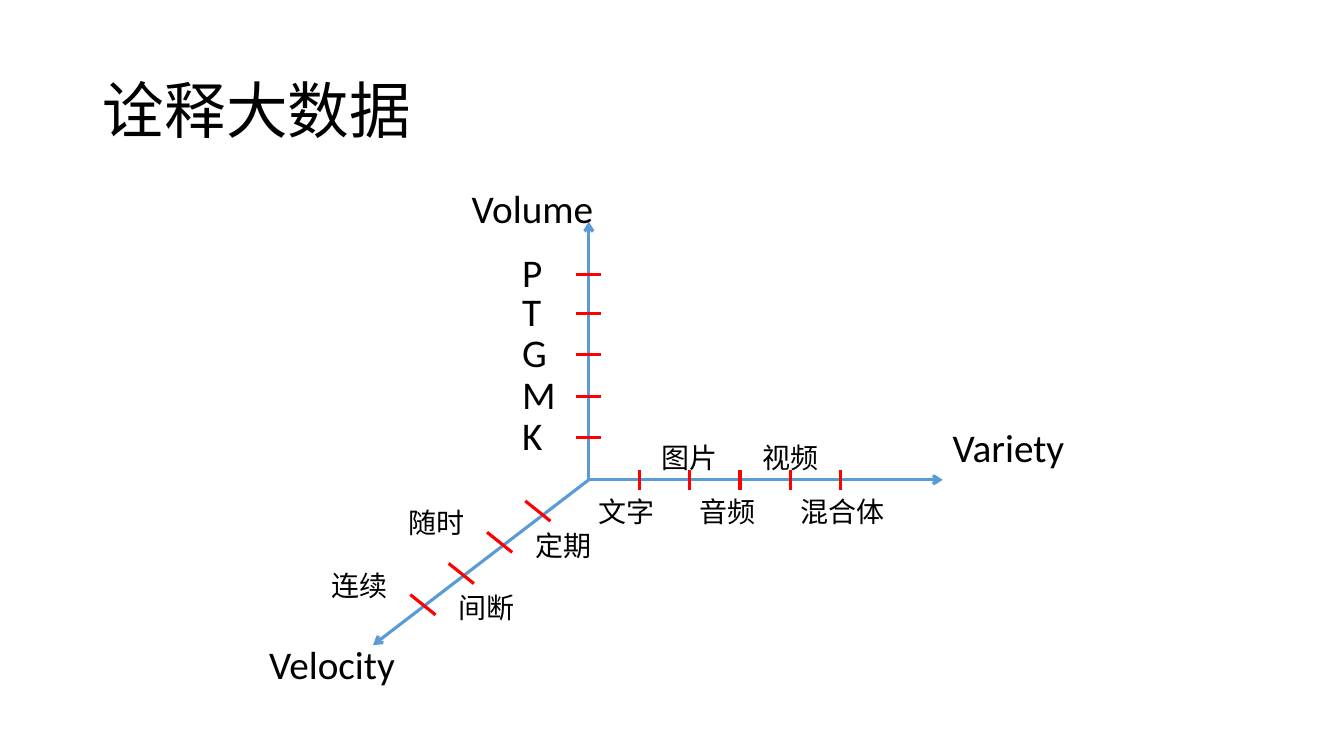
from lxml import etree
from pptx import Presentation
from pptx.dml.color import RGBColor
from pptx.enum.shapes import MSO_CONNECTOR
from pptx.enum.text import MSO_ANCHOR, MSO_AUTO_SIZE, PP_ALIGN
from pptx.oxml.ns import qn
from pptx.util import Inches, Pt

STRAIGHT = MSO_CONNECTOR.STRAIGHT
MIDDLE = MSO_ANCHOR.MIDDLE
FIT_SHAPE = MSO_AUTO_SIZE.SHAPE_TO_FIT_TEXT
NO_FIT = MSO_AUTO_SIZE.NONE
LEFT = PP_ALIGN.LEFT

BLACK = RGBColor(0x00, 0x00, 0x00)
AXIS_BLUE = RGBColor(0x5B, 0x9B, 0xD5)
TICK_RED = RGBColor(0xFF, 0x00, 0x00)

ORIGIN = (5.84, 4.76)
LARGE_HEIGHT, SMALL_HEIGHT = 0.57, 0.44


class AxisSlide:
    font_name = "Calibri"
    line_width = Pt(2.25)

    def __init__(self, slide):
        self.slide = slide
        self.shapes = slide.shapes

    def start_group(self):
        self.shapes = self.slide.shapes.add_group_shape().shapes

    def add_text(self, frame, text, size):
        paragraph = frame.paragraphs[0]
        paragraph.alignment = LEFT
        run = paragraph.add_run()
        run.text = text
        run.font.name = self.font_name
        run.font.size = Pt(size)
        run.font.color.rgb = BLACK
        return paragraph

    def title(self, text, left, top, width, height):
        heading = self.slide.shapes.title
        heading.left, heading.top = Inches(left), Inches(top)
        heading.width, heading.height = Inches(width), Inches(height)
        frame = heading.text_frame
        frame.auto_size = NO_FIT
        frame.vertical_anchor = MIDDLE
        self.add_text(frame, text, 44).line_spacing = 0.9

    def label(self, text, left, top, width, size=20, wrap=False):
        height = LARGE_HEIGHT if size == 28 else SMALL_HEIGHT
        box = self.shapes.add_textbox(
            Inches(left), Inches(top), Inches(width), Inches(height))
        frame = box.text_frame
        frame.word_wrap = wrap
        frame.auto_size = FIT_SHAPE
        self.add_text(frame, text, size)

    def line(self, start, end, color):
        connector = self.shapes.add_connector(
            STRAIGHT, *(Inches(value) for value in (*start, *end)))
        connector.line.color.rgb = color
        connector.line.width = self.line_width
        etree.SubElement(connector.element.spPr, qn("a:effectLst"))
        return connector

    def tick(self, start, end):
        self.line(start, end, TICK_RED)

    def axis(self, end):
        arrow = self.line(ORIGIN, end, AXIS_BLUE)
        outline = arrow.element.spPr.find(qn("a:ln"))
        etree.SubElement(outline, qn("a:tailEnd"), type="arrow")


def main():
    deck = Presentation()
    deck.slide_width, deck.slide_height = Inches(13.33), Inches(7.5)
    page = AxisSlide(deck.slides.add_slide(deck.slide_layouts[5]))
    page.title("诠释大数据", 0.92, 0.4, 11.5, 1.45)

    # Volume axis: units from small to large
    page.start_group()
    page.axis((5.84, 2.2))
    page.label("Volume", 4.58, 1.78, 1.63, 28, wrap=True)
    units = (("K", 4.34, 0.41), ("M", 3.93, 0.54), ("G", 3.52, 0.45),
             ("T", 3.11, 0.39), ("P", 2.72, 0.41))
    for unit, y, width in units:
        page.tick((5.71, y), (5.96, y))
        page.label(unit, 5.08, y - 0.31, width, 28)

    # Variety axis: labels alternate below and above
    page.start_group()
    page.axis((9.35, 4.76))
    for index, medium in enumerate(("文字", "图片", "音频", "视频", "混合体")):
        x = 6.34 + 0.5 * index
        page.tick((x, 4.66), (x, 4.86))
        left, top = (x - 0.38, 4.32) if index % 2 else (x - 0.5, 4.86)
        page.label(medium, left, top, 0.2 + 0.28 * len(medium))
    page.label("Variety", 9.35, 4.15, 1.88, 28, wrap=True)

    # Velocity axis: labels alternate right and left
    page.start_group()
    page.axis((3.7, 6.4))
    page.label("Velocity", 2.57, 6.3, 1.88, 28, wrap=True)
    for index, pace in enumerate(("定期", "随时", "间断", "连续")):
        x, y = 5.21 - 0.38 * index, 4.97 + 0.31 * index
        page.tick((x, y), (x + 0.25, y + 0.2))
        left, top = (x - 0.88, y - 0.31) if index % 2 else (x, y + 0.22)
        page.label(pace, left, top, 1, wrap=True)

    deck.save("out.pptx")


if __name__ == "__main__":
    main()
